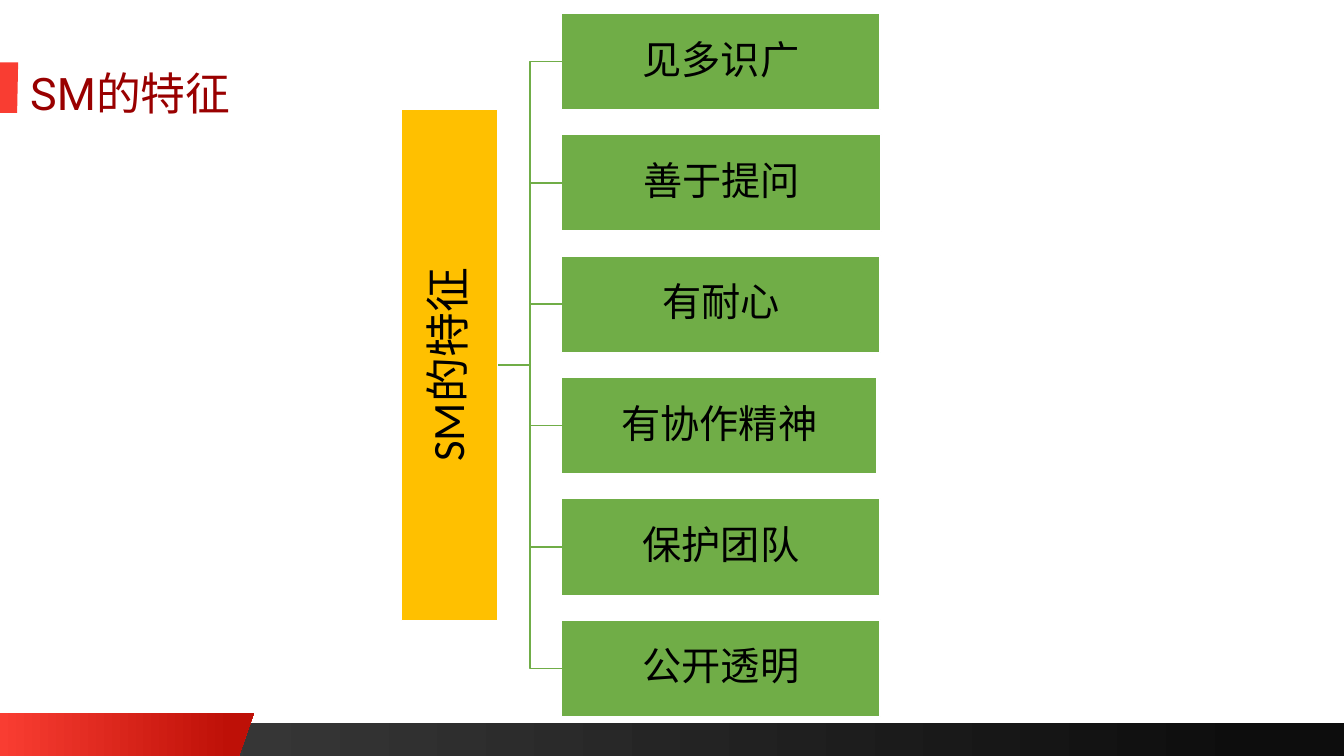
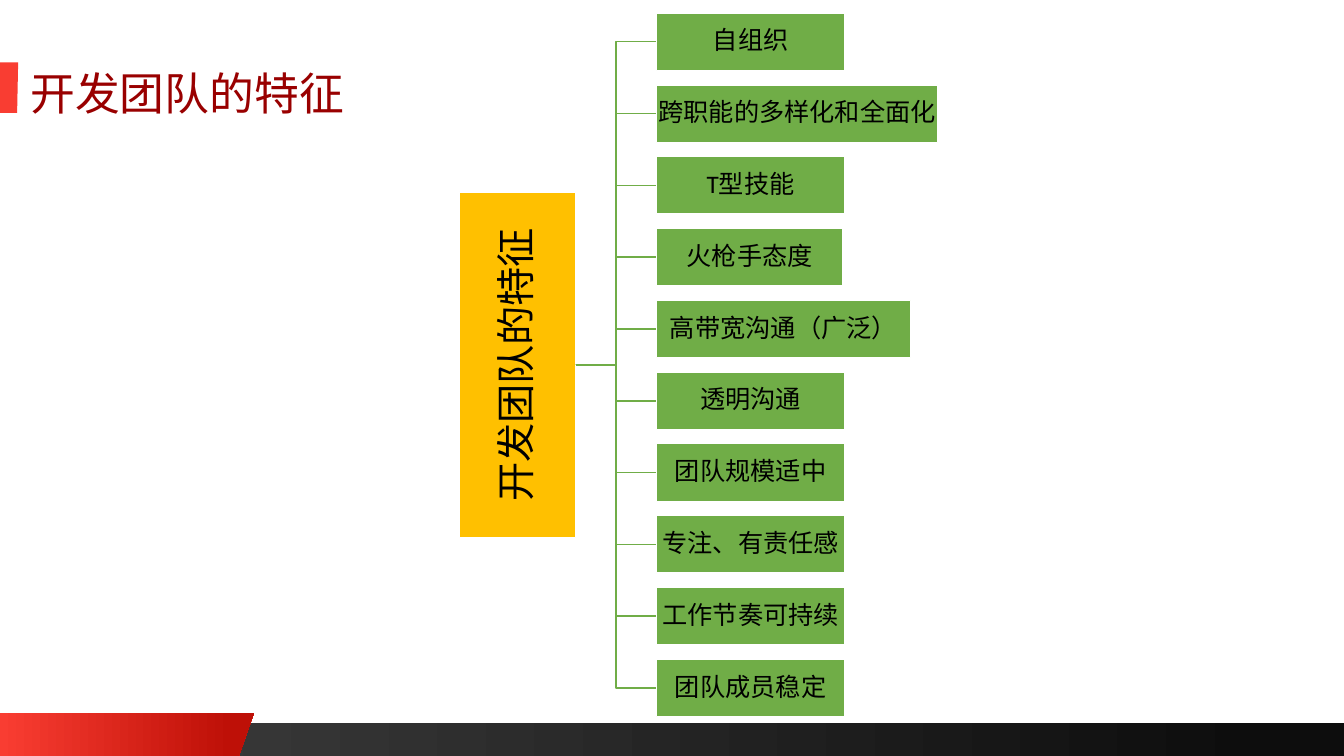
from lxml import etree
from pptx import Presentation
from pptx.dml.color import RGBColor
from pptx.enum import lang, shapes, text
from pptx.oxml import ns
from pptx.util import Inches, Pt

HUES = {
    "title": "990000", "root": "FFC000", "leaf": "70AD47", "edge": "FFFFFF",
    "ink": "000000", "red": "F93D32", "wine": "BE1007",
    "grey": "404040", "coal": "0D0D0D",
}
WIDE, HIGH = 13.33, 7.5
TOP, END = 0.13, 7.11  # span of the leaf column
MID = (TOP + END) / 2


def hue(name):
    return RGBColor.from_string(HUES[name])


class Deck:
    def __init__(self):
        self.prs = Presentation()
        self.prs.slide_width = Inches(WIDE)
        self.prs.slide_height = Inches(HIGH)

    def page(self, title):
        self.slide = self.prs.slides.add_slide(self.prs.slide_layouts[6])
        self.shapes = self.slide.shapes
        self.fade(self.rect(0, 7.17, WIDE, 0.33), "grey", "coal", 0.94)
        flag = self.poly((0, 7.07), (2.52, 7.07), (2.37, HIGH), (0, HIGH))
        self.fade(flag, "red", "wine", 0.91)
        mark = self.poly((0, 0.62), (0.18, 0.62), (0.17, 1.12), (0, 1.12))
        self.flat(mark, "red")
        self.title(title)

    def title(self, words):
        box = self.shapes.add_textbox(
            Inches(0.21), Inches(0.56), Inches(8.98), Inches(0.68))
        box.text_frame.auto_size = text.MSO_AUTO_SIZE.SHAPE_TO_FIT_TEXT
        self.label(box, words, 32, "title", "Roboto", 1.1, (0.09, 0.04))

    def rect(self, left, top, wide, high):
        box = self.shapes.add_shape(
            shapes.MSO_SHAPE.RECTANGLE,
            Inches(left), Inches(top), Inches(wide), Inches(high))
        return self.plain(box)

    def poly(self, *dots):
        dots = [(Inches(x), Inches(y)) for x, y in dots]
        pen = self.shapes.build_freeform(*dots[0])
        pen.add_line_segments(dots[1:], close=True)
        return self.plain(pen.convert_to_shape())

    def plain(self, shape):
        shape.shadow.inherit = False
        shape.line.fill.background()
        return shape

    def flat(self, shape, name):
        shape.fill.solid()
        shape.fill.fore_color.rgb = hue(name)

    def fade(self, shape, first, last, stop):
        """Fill from left to right, the last colour reached at stop."""
        shape.fill.gradient()
        shape.fill.gradient_angle = 0
        stops = shape.fill.gradient_stops
        for item, name, at in zip(stops, (first, last), (0, stop)):
            item.color.rgb = hue(name)
            item.position = at

    def label(self, shape, words, size, name, face, lead, pads):
        frame = shape.text_frame
        frame.word_wrap = True
        frame.margin_left = frame.margin_right = Inches(pads[0])
        frame.margin_top = frame.margin_bottom = Inches(pads[1])
        frame.text = words
        para = frame.paragraphs[0]
        para.line_spacing = lead
        font = para.runs[0].font
        font.size, font.name = Pt(size), face
        font.color.rgb = hue(name)
        font.language_id = lang.MSO_LANGUAGE_ID.SIMPLIFIED_CHINESE
        return para

    def node(self, area, words, size, name, pad):
        box = self.rect(*area)
        self.flat(box, name)
        box.line.color.rgb = hue("edge")
        box.line.width = Pt(1)
        para = self.label(box, words, size, "ink", "Calibri", 0.9, (pad, pad))
        para.alignment = text.PP_ALIGN.CENTER
        box.text_frame.vertical_anchor = text.MSO_ANCHOR.MIDDLE
        return box

    def link(self, root, leaf):
        line = self.shapes.add_connector(
            shapes.MSO_CONNECTOR.ELBOW,
            root.left + root.width, root.top + root.height // 2,
            leaf.left, leaf.top + leaf.height // 2)
        line.begin_connect(root, 3)
        line.end_connect(leaf, 1)
        line.line.color.rgb = hue("leaf")
        line.line.width = Pt(1)
        etree.SubElement(line._element.spPr, ns.qn("a:effectLst"))

    def tree(self, words, root, leaves, left, high, sizes, pads):
        """Root is left, width and height; leaves are (words, width)."""
        x, wide, tall = root
        trunk = self.node((x, MID - tall / 2, wide, tall),
                          words, sizes[0], "root", pads[0])
        trunk.text_frame._txBody.bodyPr.set("vert", "vert270")
        step = (END - TOP - high) / (len(leaves) - 1)
        for i, (trait, span) in enumerate(leaves):
            leaf = self.node((left, TOP + i * step, span, high),
                             trait, sizes[1], "leaf", pads[1])
            self.link(trunk, leaf)


def main():
    deck = Deck()

    head = "SM的特征"
    traits = [("见多识广", 3.16), ("善于提问", 3.17), ("有耐心", 3.16),
              ("有协作精神", 3.13), ("保护团队", 3.16), ("公开透明", 3.16)]
    deck.page(head)
    deck.tree(head, (3.98, 0.96, 5.07), traits, 5.57, 0.96,
              (32, 28), (0.02, 0.02))

    head = "开发团队的特征"
    traits = [("自组织", 1.87), ("跨职能的多样化和全面化", 2.79),
              ("T型技能", 1.87), ("火枪手态度", 1.85),
              ("高带宽沟通（广泛）", 2.52), ("透明沟通", 1.87),
              ("团队规模适中", 1.87), ("专注、有责任感", 1.87),
              ("工作节奏可持续", 1.87), ("团队成员稳定", 1.87)]
    deck.page(head)
    deck.tree(head, (4.56, 1.15, 3.43), traits, 6.51, 0.57,
              (28, 18), (0.02, 0.01))

    deck.prs.save("out.pptx")


if __name__ == "__main__":
    main()
